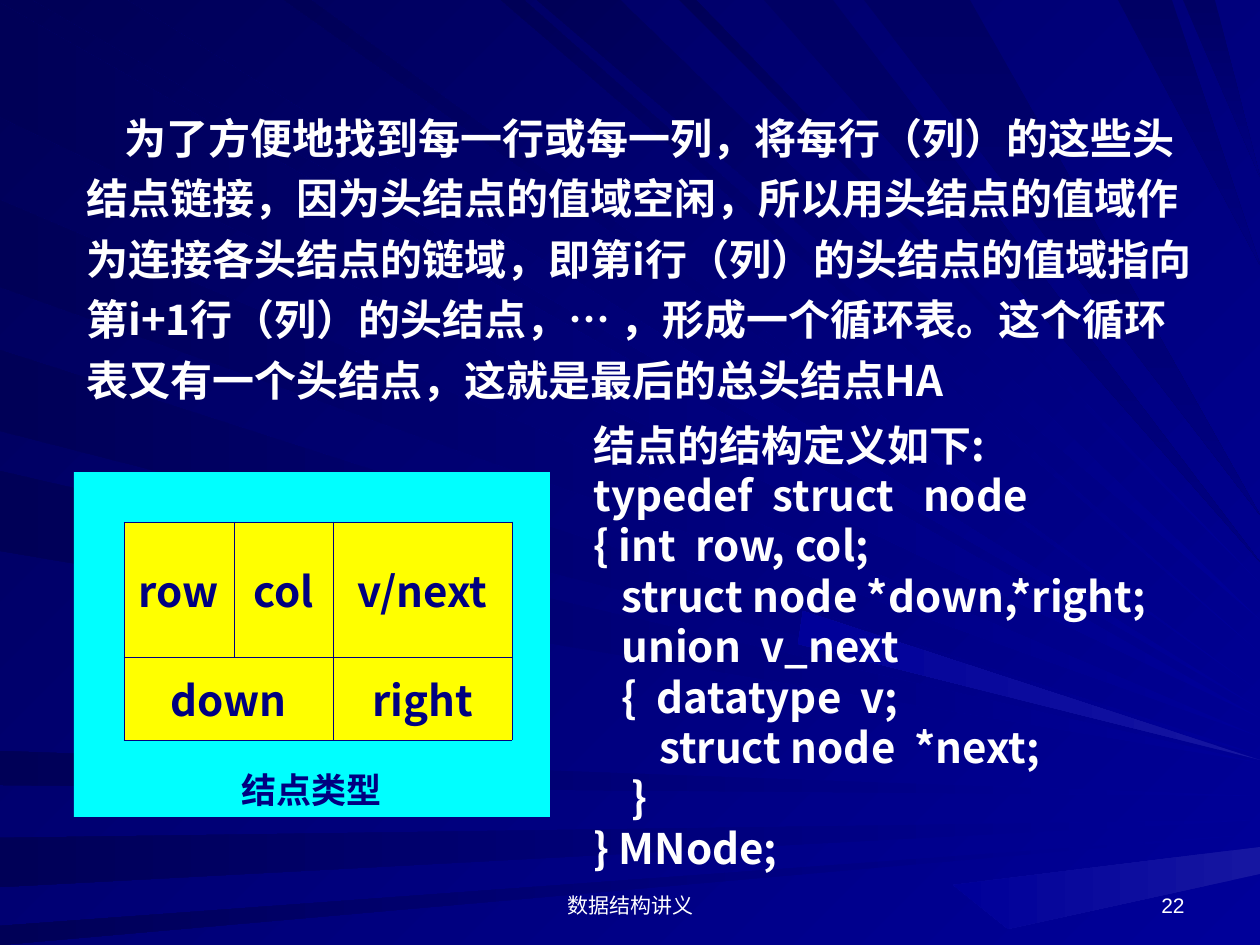
import pptx
import pptx.dml.color
import pptx.enum.shapes
import pptx.enum.text
import pptx.oxml.ns
import pptx.util
from lxml import etree

RGBColor = pptx.dml.color.RGBColor
ALIGN = pptx.enum.text.PP_ALIGN
ANCHOR = pptx.enum.text.MSO_ANCHOR
qn = pptx.oxml.ns.qn

EMU_PER_PX = 914400 / 126
WIDTH, HEIGHT = 1260, 945
CJK_FONT = "Noto Sans CJK SC"
LATIN_FONT = "Arial"

WHITE = RGBColor(0xFF, 0xFF, 0xFF)
CYAN = RGBColor(0x00, 0xFF, 0xFF)
YELLOW = RGBColor(0xFF, 0xFF, 0x00)
NAVY = RGBColor(0x00, 0x00, 0x80)
BLUE = RGBColor(0x00, 0x00, 0x99)
GLOW = RGBColor(0x16, 0x16, 0xA1)
MIDNIGHT = RGBColor(0x00, 0x00, 0x57)
DEEP_BLUE = RGBColor(0x00, 0x00, 0x64)

# Each ray runs from a stretch of one slide edge to a tip on the right edge:
# start of stretch, end of stretch, height of tip
LEFT_RAYS = [
    (3, 117, 718), (200, 287, 737), (350, 431, 755), (471, 551, 763),
    (751, 785, 796), (838, 887, 820), (926, 945, 834),
]
TOP_RAYS = [(33, 127, 709), (284, 311, 692), (501, 524, 653), (537, 620, 620), (680, 696, 583)]
CORNER_RAYS = [(764, 833, 562), (864, 970, 515), (1118, 1172, 265), (1183, 1215, 177)]
GLOWING_TIP = [(803, 611), (798, 644), (WIDTH, 760)]
LOWER_BEAM = [(953, 885), (WIDTH, 847), (WIDTH, 874), (1008, 929)]

EXPLANATION = (
    "为了方便地找到每一行或每一列，将每行（列）的这些头结点链接，"
    "因为头结点的值域空闲，所以用头结点的值域作为连接各头结点的链域，"
    "即第i行（列）的头结点的值域指向第i+1行（列）的头结点，… ，"
    "形成一个循环表。这个循环表又有一个头结点，这就是最后的总头结点HA"
)

# Left indent in px, text
CODE_LINES = [
    (0, "结点的结构定义如下:"),
    (0, "typedef  struct   node"),
    (0, "{ int  row, col;"),
    (28, "struct node *down,*right;"),
    (28, "union  v_next"),
    (28, "{  datatype  v;"),
    (66, "struct node  *next;"),
    (38, "}"),
    (0, "} MNode;"),
]

COLUMN_WIDTHS = [110, 99, 179]
ROW_HEIGHTS = [135, 83]
NODE_FIELDS = [["row", "col", "v/next"], ["down", "", "right"]]


def px(length):
    return pptx.util.Emu(round(length * EMU_PER_PX))


def fill_gradient(fill, start, end, angle):
    """Fill from start to end along an angle in degrees, clockwise."""
    fill.gradient()
    fill.gradient_angle = (360 - angle) % 360
    for stop, color in zip(fill.gradient_stops, (start, end)):
        stop.color.rgb = color


def format_paragraph(paragraph, size, color, align, font=CJK_FONT, bold=True):
    paragraph.alignment = align
    for run in paragraph.runs:
        run.font.size = pptx.util.Pt(size)
        run.font.bold = bold
        run.font.name = font
        run.font.color.rgb = color
        east_asian = etree.SubElement(run.font._element, qn("a:ea"))
        east_asian.set("typeface", CJK_FONT)


def indent_paragraph(paragraph, left=0, first_line=0):
    properties = paragraph._p.get_or_add_pPr()
    properties.set("marL", str(px(left)))
    properties.set("indent", str(px(first_line)))


def add_ray(slide, corners, start, end, angle):
    builder = slide.shapes.build_freeform(*corners[0], scale=EMU_PER_PX)
    builder.add_line_segments(corners[1:], close=True)
    shape = builder.convert_to_shape()
    shape.shadow.inherit = False
    shape.line.fill.background()
    fill_gradient(shape.fill, start, end, angle)


def add_rays(slide):
    for top, bottom, tip in LEFT_RAYS:
        add_ray(slide, [(0, top), (0, bottom), (WIDTH, tip)], BLUE, MIDNIGHT, 180)
    for left, right, tip in TOP_RAYS:
        add_ray(slide, [(left, 0), (right, 0), (WIDTH, tip)], BLUE, MIDNIGHT, 225)
    for left, right, tip in CORNER_RAYS:
        add_ray(slide, [(left, 0), (right, 0), (WIDTH, tip)], DEEP_BLUE, NAVY, 90)
    for corners in (GLOWING_TIP, LOWER_BEAM):
        add_ray(slide, corners, GLOW, BLUE, 180)


def add_text(slide, box, text, anchor=ANCHOR.TOP):
    text_frame = slide.shapes.add_textbox(*map(px, box)).text_frame
    text_frame.word_wrap = True
    text_frame.vertical_anchor = anchor
    text_frame.text = text
    return text_frame.paragraphs


def add_node_panel(slide):
    panel = slide.shapes.add_shape(
        pptx.enum.shapes.MSO_SHAPE.RECTANGLE, *map(px, (74, 472, 476, 345)))
    panel.shadow.inherit = False
    panel.fill.solid()
    panel.fill.fore_color.rgb = CYAN
    panel.line.fill.background()
    panel.text_frame.vertical_anchor = ANCHOR.BOTTOM
    panel.text_frame.text = "结点类型"
    format_paragraph(panel.text_frame.paragraphs[0], 20, NAVY, ALIGN.CENTER, LATIN_FONT)


def add_cell_borders(cell):
    properties = cell._tc.get_or_add_tcPr()
    for side in ("a:lnL", "a:lnR", "a:lnT", "a:lnB"):
        line = etree.SubElement(properties, qn(side), w=str(pptx.util.Pt(0.45)))
        solid = etree.SubElement(line, qn("a:solidFill"))
        etree.SubElement(solid, qn("a:srgbClr"), val=str(NAVY))


def add_node_table(slide):
    table = slide.shapes.add_table(
        len(ROW_HEIGHTS), len(COLUMN_WIDTHS), px(124), px(522),
        px(sum(COLUMN_WIDTHS)), px(sum(ROW_HEIGHTS))).table
    for column, width in zip(table.columns, COLUMN_WIDTHS):
        column.width = px(width)
    for row, height in zip(table.rows, ROW_HEIGHTS):
        row.height = px(height)
    table.cell(1, 0).merge(table.cell(1, 1))
    for row, labels in zip(table.rows, NODE_FIELDS):
        for cell, label in zip(row.cells, labels):
            add_cell_borders(cell)
            cell.fill.solid()
            cell.fill.fore_color.rgb = YELLOW
            cell.vertical_anchor = ANCHOR.MIDDLE
            if label:
                cell.text_frame.text = label
                format_paragraph(cell.text_frame.paragraphs[0], 24, NAVY, ALIGN.CENTER)


def add_code(slide):
    text = "\n".join(line for _, line in CODE_LINES)
    paragraphs = add_text(slide, (581, 413, 635, 466), text)
    for paragraph, (indent, _) in zip(paragraphs, CODE_LINES):
        format_paragraph(paragraph, 24, WHITE, ALIGN.JUSTIFY)
        indent_paragraph(paragraph, left=indent)


def add_explanation(slide):
    paragraph = add_text(slide, (74, 96, 1142, 315), EXPLANATION)[0]
    format_paragraph(paragraph, 24, WHITE, ALIGN.LEFT)
    indent_paragraph(paragraph, first_line=38)
    paragraph.line_spacing = 1.2
    paragraph.space_before = paragraph.space_after = pptx.util.Pt(3)


def add_footer(slide, box, text, align):
    paragraph = add_text(slide, box, text, ANCHOR.BOTTOM)[0]
    format_paragraph(paragraph, 12, WHITE, align, LATIN_FONT, bold=False)


def main():
    presentation = pptx.Presentation()
    presentation.slide_width, presentation.slide_height = px(WIDTH), px(HEIGHT)
    slide = presentation.slides.add_slide(presentation.slide_layouts[6])
    fill_gradient(slide.background.fill, BLUE, MIDNIGHT, 225)
    add_rays(slide)
    add_node_panel(slide)
    add_code(slide)
    add_explanation(slide)
    add_node_table(slide)
    add_footer(slide, (431, 861, 399, 63), "数据结构讲义", ALIGN.CENTER)
    add_footer(slide, (903, 861, 294, 63), "22", ALIGN.RIGHT)
    presentation.save("out.pptx")


if __name__ == "__main__":
    main()
